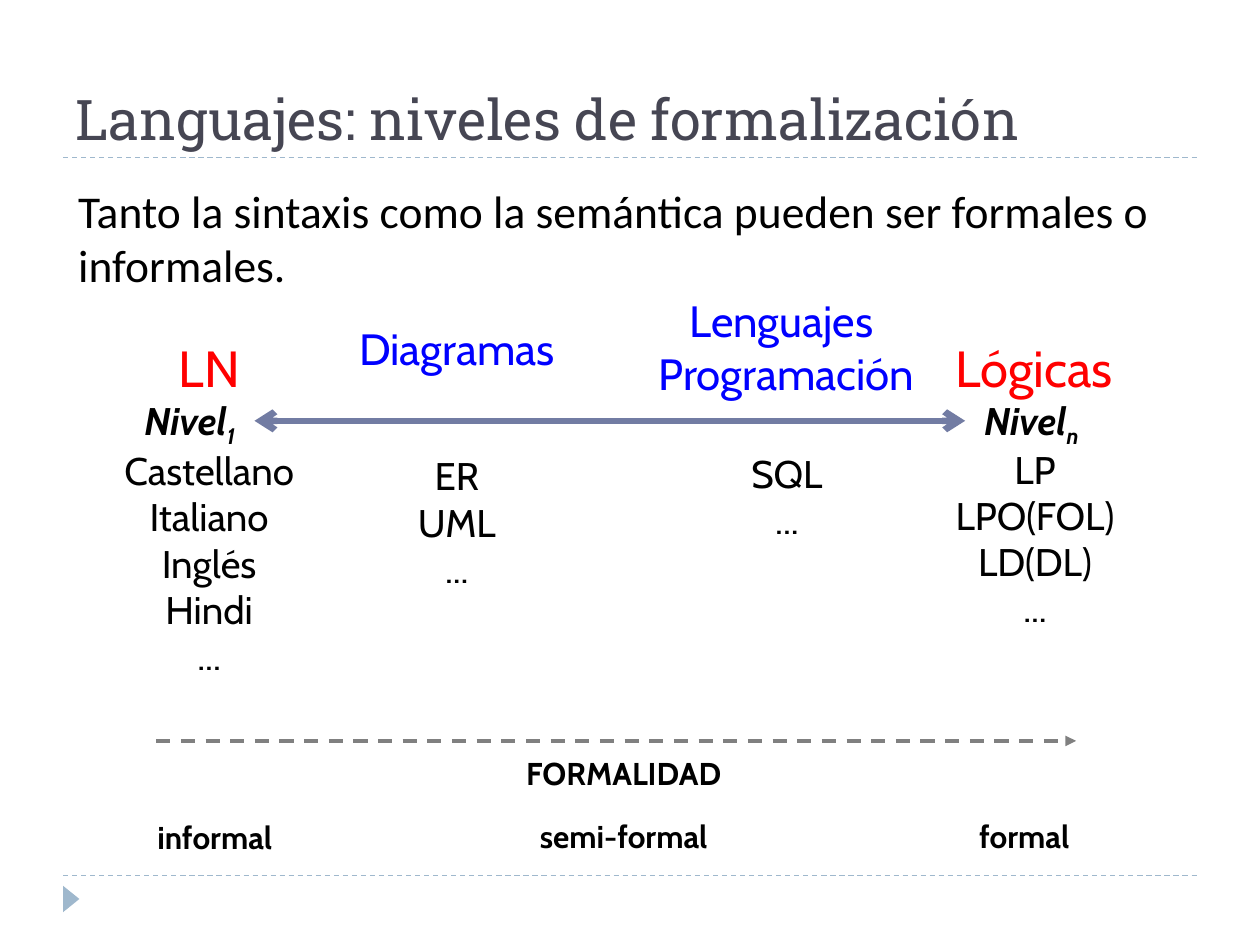
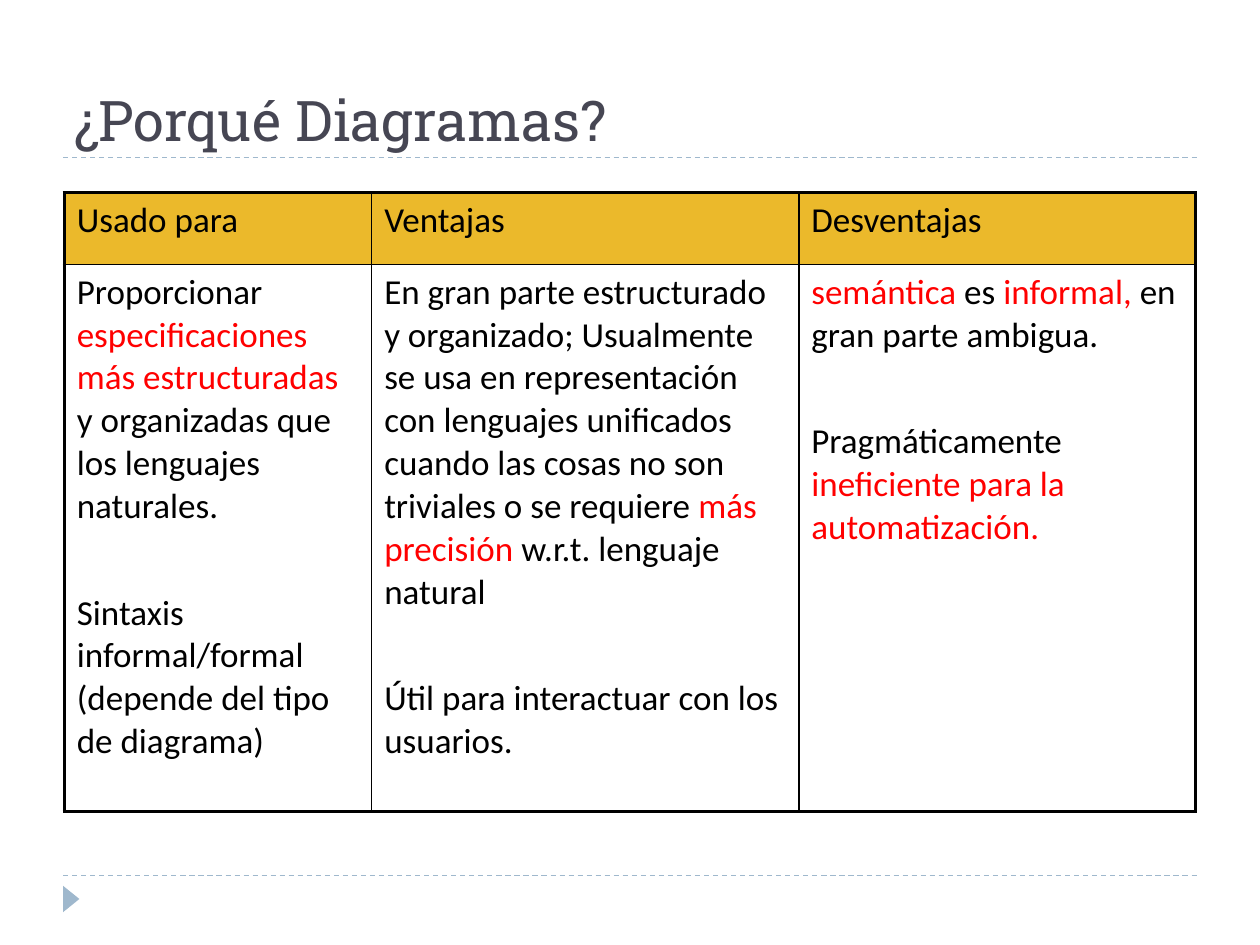
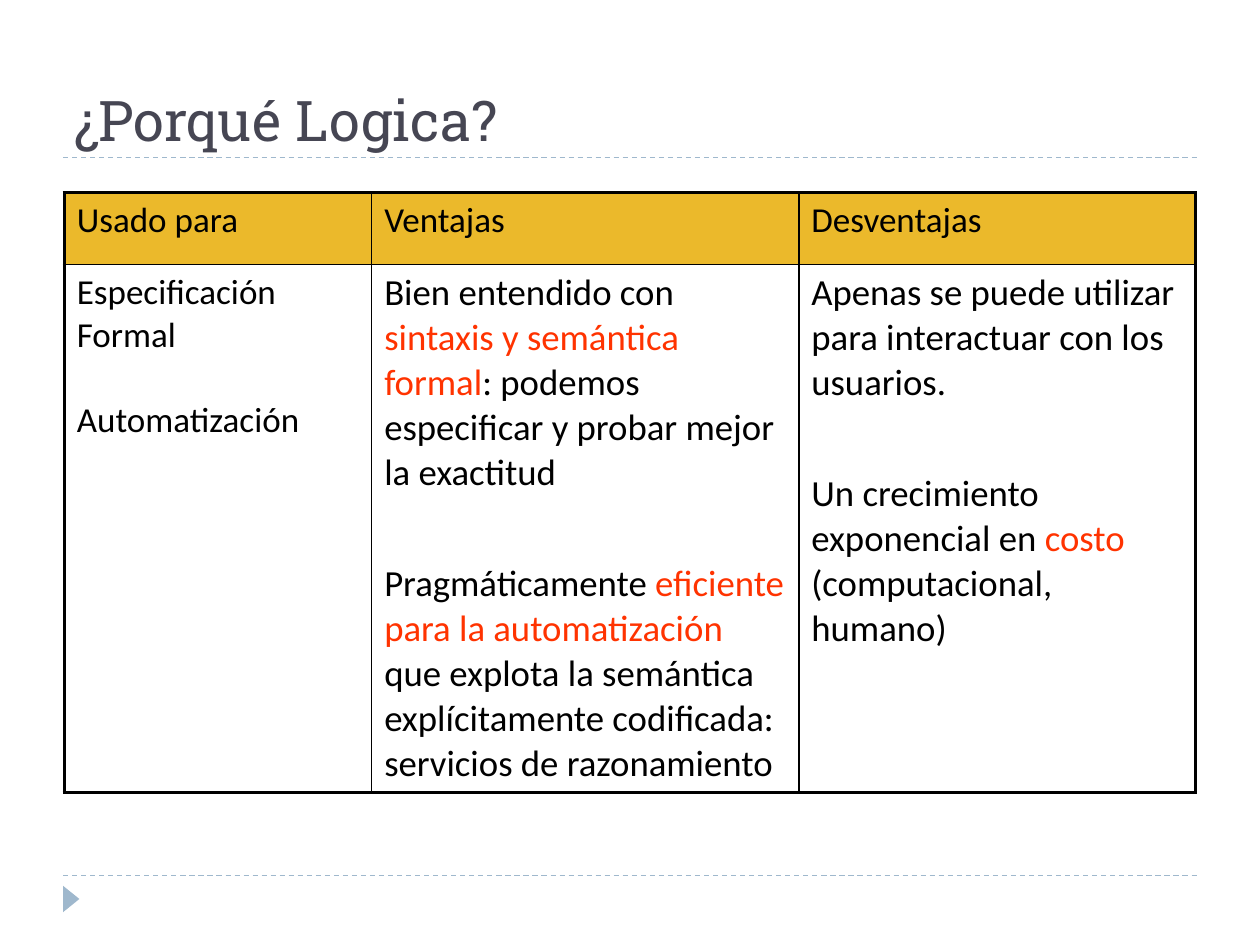
from lxml import etree
from pptx import Presentation
from pptx.dml.color import RGBColor
from pptx.enum.dml import MSO_LINE
from pptx.enum.shapes import MSO_CONNECTOR, MSO_SHAPE
from pptx.enum.text import MSO_ANCHOR, MSO_AUTO_SIZE, PP_ALIGN
from pptx.oxml.ns import qn
from pptx.util import Inches, Pt

# Colours
BLACK = RGBColor(0x00, 0x00, 0x00)
WHITE = RGBColor(0xFF, 0xFF, 0xFF)
RED = RGBColor(0xFF, 0x00, 0x00)
ORANGE_RED = RGBColor(0xFF, 0x33, 0x00)
BLUE = RGBColor(0x00, 0x00, 0xFF)
GREY = RGBColor(0x80, 0x80, 0x80)
TITLE_GREY = RGBColor(0x46, 0x46, 0x53)
PALE_BLUE = RGBColor(0x9F, 0xB8, 0xCD)
SLATE_BLUE = RGBColor(0x72, 0x7C, 0xA3)
GOLD = RGBColor(0xEB, 0xB9, 0x2B)

# Text formats
TITLE = dict(name="Roboto Slab", size=Pt(32), color=TITLE_GREY)
INTRO = dict(name="Calibri", size=Pt(26), color=BLACK)
END_HEAD = dict(name="Cabin", size=Pt(29), color=RED)
MIDDLE_HEAD = dict(name="Cabin", size=Pt(25), color=BLUE)
EXAMPLE = dict(name="Cabin", size=Pt(22), color=BLACK)
LEVEL = dict(EXAMPLE, bold=True, italic=True)
SCALE = dict(name="Cabin", size=Pt(18), color=BLACK, bold=True)
CELL = dict(name="Calibri", size=Pt(20), color=BLACK)
LARGE_CELL = dict(CELL, size=Pt(21))

# Table measures
COLUMN_WIDTHS = (2.44, 3.39, 3.15)
HEADER_HEIGHT = 0.57
HEADERS = ("Usado para", "Ventajas", "Desventajas")
THICK, THIN = 2.25, 1
CELL_SPACE = 6
LINE_FACTOR = 1.22


def add_span(para, text, style):
    span = para.add_run()
    span.text = text
    for key, value in style.items():
        if key == "color":
            span.font.color.rgb = value
        else:
            setattr(span.font, key, value)
    return span


def add_text(page, at, paragraphs, style, insets=(0.09, 0.04), align=PP_ALIGN.CENTER,
             anchor=MSO_ANCHOR.TOP, wrap=False, grow=True):
    """Text box; a newline inside a paragraph is a line break."""
    box = page.shapes.add_textbox(*map(Inches, at))
    frame = box.text_frame
    side, edge = map(Inches, insets)
    settings = dict(margin_left=side, margin_right=side, margin_top=edge,
                    margin_bottom=edge, vertical_anchor=anchor, word_wrap=wrap,
                    auto_size=MSO_AUTO_SIZE.SHAPE_TO_FIT_TEXT if grow else MSO_AUTO_SIZE.NONE)
    for key, value in settings.items():
        setattr(frame, key, value)
    for index, text in enumerate(paragraphs):
        para = frame.add_paragraph() if index else frame.paragraphs[0]
        para.alignment = align
        for number, line in enumerate(text.split("\n")):
            if number:
                para.add_line_break()
            add_span(para, line, style)
    return box


def add_level(page, at, subscript):
    box = add_text(page, at, ["Nivel"], LEVEL)
    span = add_span(box.text_frame.paragraphs[0], subscript, LEVEL)
    span.font._element.set("baseline", "-25000")


def add_line(page, start, end, color, width, dashed=False, head=None, tail=None):
    line = page.shapes.add_connector(MSO_CONNECTOR.STRAIGHT, *map(Inches, start + end))
    line.line.color.rgb = color
    line.line.width = Pt(width)
    if dashed:
        line.line.dash_style = MSO_LINE.DASH
    outline = line.line._get_or_add_ln()
    for tag, kind in (("a:headEnd", head), ("a:tailEnd", tail)):
        if kind:
            etree.SubElement(outline, qn(tag), type=kind)
    etree.SubElement(line._element.spPr, qn("a:effectLst"))


def add_page(deck, title, insets=(0.09, 0.04)):
    """Blank page with the shared rules, footer mark and title."""
    page = deck.slides.add_slide(deck.slide_layouts[6])
    for y in (6.95, 1.25):
        add_line(page, (0.5, y), (9.5, y), PALE_BLUE, 0.75, dashed=True)
    mark = page.shapes.add_shape(MSO_SHAPE.ISOSCELES_TRIANGLE,
                                 *map(Inches, (0.46, 7.07, 0.21, 0.13)))
    mark.rotation = 90
    mark.shadow.inherit = False
    mark.fill.solid()
    mark.fill.fore_color.rgb = PALE_BLUE
    mark.line.fill.background()
    add_text(page, (0.5, 0.17, 9, 1.08), [title], TITLE, insets, PP_ALIGN.LEFT,
             MSO_ANCHOR.BOTTOM, wrap=True, grow=False)
    return page


def set_borders(cell, widths):
    properties = cell._tc.get_or_add_tcPr()
    for side, width in widths.items():
        border = etree.SubElement(properties, qn("a:ln" + side), w=str(Pt(width)))
        fill = etree.SubElement(border, qn("a:solidFill"))
        etree.SubElement(fill, qn("a:srgbClr"), val=str(BLACK))


def fill_cell(cell, paragraphs, style, accent, space=CELL_SPACE):
    """Parts between asterisks take the accent colour; paragraphs lie a line apart."""
    gap = style["size"].pt * LINE_FACTOR + 2 * space
    for index, text in enumerate(paragraphs):
        para = cell.text_frame.add_paragraph() if index else cell.text_frame.paragraphs[0]
        para.space_before = Pt(gap if index else space)
        for number, part in enumerate(text.split("*")):
            if part:
                add_span(para, part, dict(style, color=accent) if number % 2 else style)


def add_comparison(page, body_height, bodies, accent):
    """Three-column table; each body is (paragraphs, style, space before)."""
    frame = page.shapes.add_table(2, 3, *map(Inches, (
        0.51, 1.53, sum(COLUMN_WIDTHS), HEADER_HEIGHT + body_height)))
    table = frame.table
    table.first_row = table.horz_banding = False
    for column, width in zip(table.columns, COLUMN_WIDTHS):
        column.width = Inches(width)
    for row, height in zip(table.rows, (HEADER_HEIGHT, body_height)):
        row.height = Inches(height)
    headers = [([text], CELL, CELL_SPACE) for text in HEADERS]
    for r, contents in enumerate((headers, bodies)):
        for c, (paragraphs, style, space) in enumerate(contents):
            cell = table.cell(r, c)
            set_borders(cell, dict(L=THIN if c else THICK, R=THICK if c == 2 else THIN,
                                   T=THIN if r else THICK, B=THICK if r else THIN))
            cell.fill.solid()
            cell.fill.fore_color.rgb = WHITE if r else GOLD
            fill_cell(cell, paragraphs, style, accent, space)


def build_levels(deck):
    page = add_page(deck, "Languajes: niveles de formalización", (0.1, 0.05))

    # Headings and examples of each family of languages
    for at, paragraphs, style in (
        ((7.51, 2.67, 1.4, 0.49), ["Lógicas"], END_HEAD),
        ((2.78, 2.55, 1.69, 0.42), ["Diagramas"], MIDDLE_HEAD),
        ((1.4, 2.67, 0.52, 0.49), ["LN"], END_HEAD),
        ((5.15, 2.33, 2.18, 0.84), ["Lenguajes ", "Programación"], MIDDLE_HEAD),
        ((0.93, 3.54, 1.46, 1.85), ["Castellano\nItaliano\nInglés\nHindi\n..."], EXAMPLE),
        ((3.3, 3.59, 0.65, 1.1), ["ER\nUML\n..."], EXAMPLE),
        ((5.94, 3.57, 0.61, 0.73), ["SQL\n..."], EXAMPLE),
        ((7.5, 3.53, 1.43, 1.48), ["LP\nLPO(FOL)\nLD(DL)\n..."], EXAMPLE),
    ):
        add_text(page, at, paragraphs, style, (0, 0), anchor=MSO_ANCHOR.MIDDLE)

    add_text(page, (0.53, 1.41, 8.88, 0.97),
             ["Tanto la sintaxis como la semántica pueden ser formales o informales."],
             INTRO, align=PP_ALIGN.LEFT, wrap=True)

    # Levels joined by a double arrow
    add_level(page, (0.99, 3.11, 1.03, 0.46), "1")
    add_level(page, (7.66, 3.11, 1.05, 0.46), "n")
    add_line(page, (2.02, 3.34), (7.66, 3.34), SLATE_BLUE, 3.75, head="arrow", tail="arrow")

    # Scale of formality
    add_line(page, (1.24, 5.88), (8.54, 5.88), GREY, 2, dashed=True, tail="triangle")
    for text, left, top, width in (
        ("FORMALIDAD", 4.01, 5.94, 1.88),
        ("informal", 1.12, 6.45, 1.17),
        ("semi-formal", 4.15, 6.44, 1.6),
        ("formal", 7.66, 6.44, 0.94),
    ):
        add_text(page, (left, top, width, 0.39), [text], SCALE)


def build_diagrams(deck):
    page = add_page(deck, "¿Porqué Diagramas?")
    add_comparison(page, 4.34, [
        (["Proporcionar *especificaciones más estructuradas *y organizadas que los "
          "lenguajes naturales.",
          "Sintaxis informal/formal (depende del tipo de diagrama)"], CELL, CELL_SPACE),
        (["En gran parte estructurado y organizado; Usualmente se usa en representación "
          "con lenguajes unificados cuando las cosas no son triviales o se requiere "
          "*más precisión* w.r.t. lenguaje natural",
          "Útil para interactuar con los usuarios."], CELL, CELL_SPACE),
        (["*semántica *es* informal, *en gran parte ambigua.",
          "Pragmáticamente* ineficiente para la automatización.*"], CELL, CELL_SPACE),
    ], RED)


def build_logic(deck):
    page = add_page(deck, "¿Porqué Logica?")
    add_comparison(page, 3.77, [
        (["Especificación Formal", "Automatización"], CELL, 0),
        (["Bien entendido con *sintaxis y semántica formal*: podemos especificar y "
          "probar mejor la exactitud",
          "Pragmáticamente *eficiente para la automatización *que explota la semántica "
          "explícitamente codificada: servicios de razonamiento"], LARGE_CELL, CELL_SPACE),
        (["Apenas se puede utilizar para interactuar con los usuarios.",
          "Un crecimiento exponencial en *costo* (computacional, humano)"],
         LARGE_CELL, CELL_SPACE),
    ], ORANGE_RED)


def main():
    deck = Presentation()
    deck.slide_width, deck.slide_height = Inches(10), Inches(7.5)
    build_levels(deck)
    build_diagrams(deck)
    build_logic(deck)
    deck.save("out.pptx")


main()
